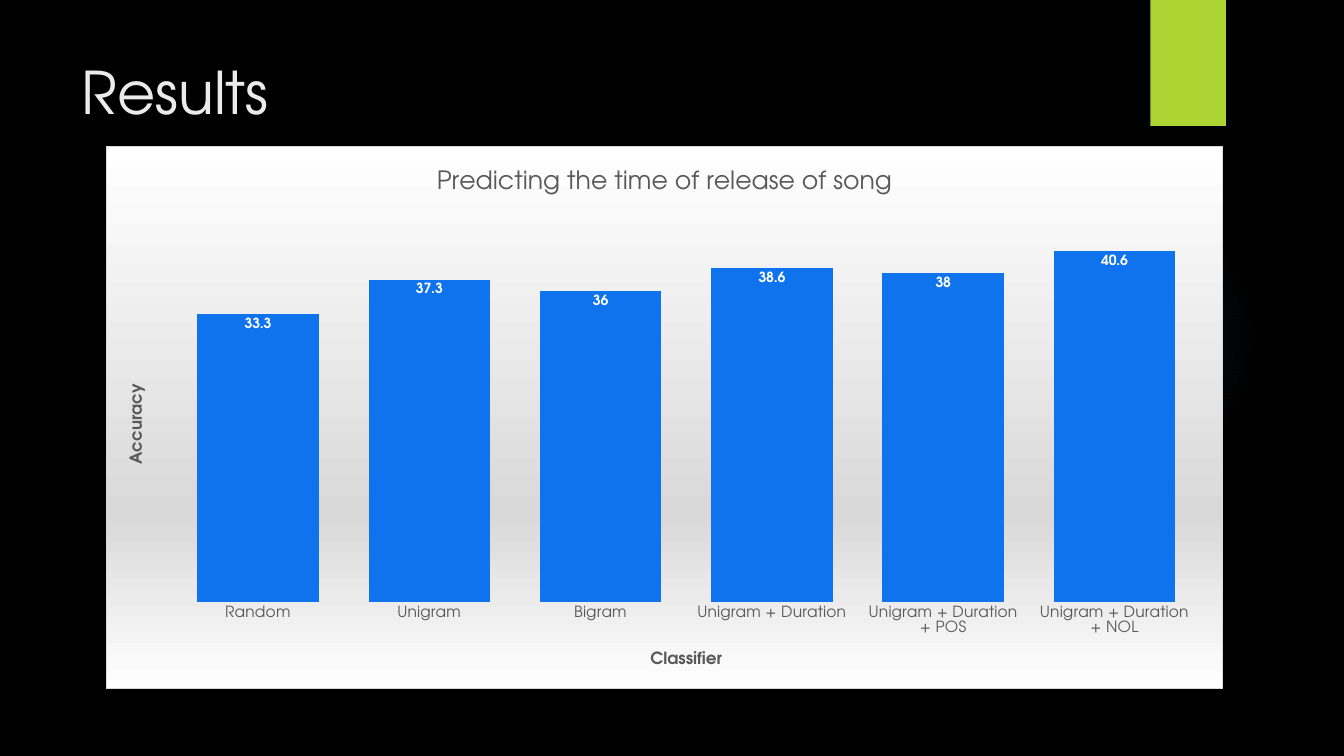
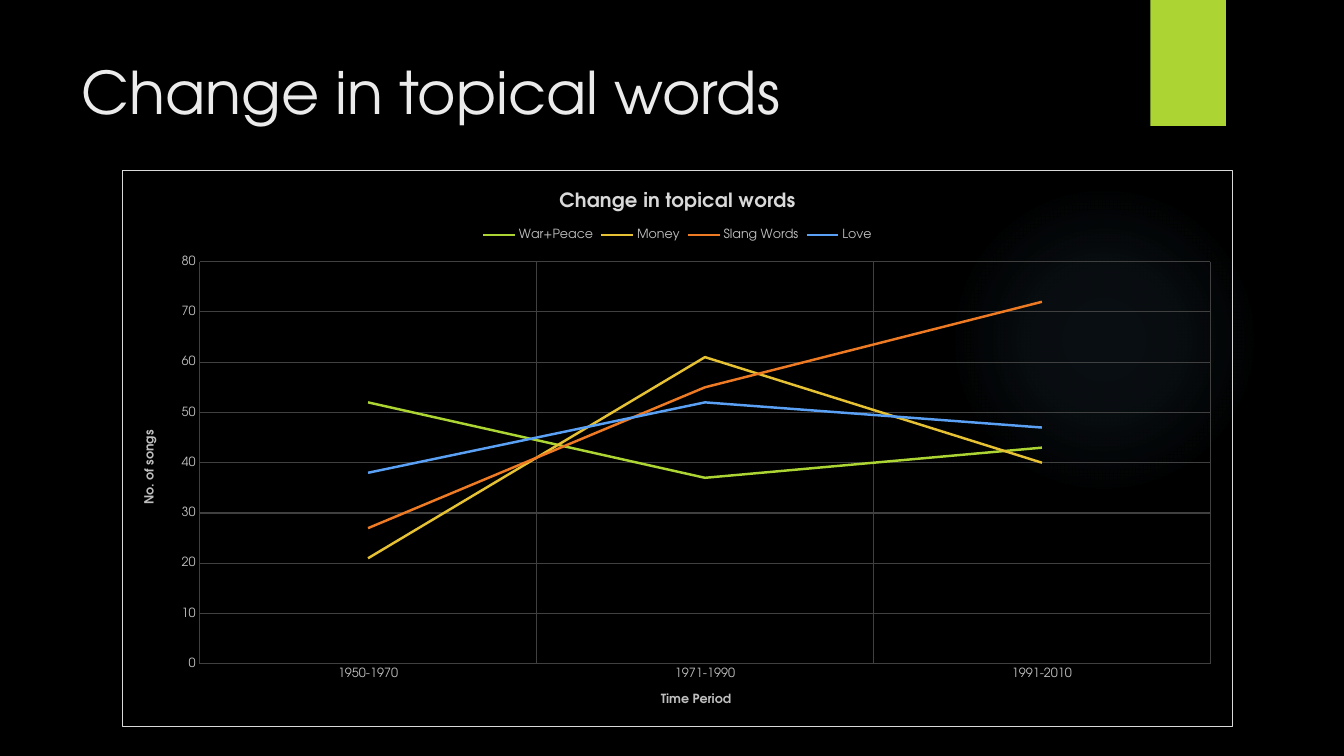
from pptx import Presentation
from pptx.chart.data import CategoryChartData as ChartData
from pptx.dml.color import RGBColor as Rgb
from pptx.enum.chart import XL_CHART_TYPE as Kind
from pptx.enum.chart import XL_LABEL_POSITION as Spot
from pptx.enum.chart import XL_LEGEND_POSITION as Side
from pptx.enum.chart import XL_TICK_MARK as Tick
from pptx.enum.shapes import MSO_SHAPE as Form
from pptx.enum.text import MSO_ANCHOR as Anchor
from pptx.enum.text import MSO_AUTO_SIZE as Fit
from pptx.enum.text import PP_ALIGN as Align
from pptx.oxml import parse_xml
from pptx.oxml.ns import nsdecls, qn
from pptx.util import Inches, Pt


class Theme:
    face = "TeX Gyre Adventor"
    back, title, band, glow = "000000", "EBEBEB", "ACD433", "7AC4F0"
    white, edge, grid = "FFFFFF", "D9D9D9", "404040"
    dark, pale = "595959", "BFBFBF"
    bar = "0E73ED"
    lines = ("ACD433", "E6C133", "EF7A24", "5AA0F5")
    head, chart, note, label, tick, small = 42, 18, 14, 12, 11, 9
    value = 10
    rule, stroke = 0.75, 1.75


# Formatting helpers
def box(*sides):
    return [Inches(side) for side in sides]


def style(font, size, color, bold=False):
    look = {"name": Theme.face, "size": Pt(size), "bold": bold}
    for key, value in look.items():
        setattr(font, key, value)
    font.color.rgb = Rgb.from_string(color)


def paint(fill, color):
    fill.solid()
    fill.fore_color.rgb = Rgb.from_string(color)


def draw(line, color, width):
    line.color.rgb = Rgb.from_string(color)
    line.width = Pt(width)


def blend(stops, shade):
    """Gradient fill from (percent, colour, opacity) stops."""
    marks = "".join(
        f'<a:gs pos="{at * 1000}"><a:srgbClr val="{color}">'
        f'<a:alpha val="{alpha * 1000}"/></a:srgbClr></a:gs>'
        for at, color, alpha in stops)
    return parse_xml(f'<a:gradFill {nsdecls("a")} rotWithShape="1">'
                     f'<a:gsLst>{marks}</a:gsLst>{shade}</a:gradFill>')


# Shared backdrop
def add_form(slide, form, place):
    shape = slide.shapes.add_shape(form, *place)
    shape.shadow.inherit = False
    shape.line.fill.background()
    return shape


def set_back(layout, slide):
    """Draw the glow and the band once, then keep them on the layout."""
    paint(layout.background.fill, Theme.back)
    glow = add_form(slide, Form.OVAL, box(9.41, 1.83, 3.08, 3.08))
    stops = [(at, Theme.glow, alpha) for at, alpha in ((0, 7), (36, 6), (69, 0))]
    shade = ('<a:path path="circle"><a:fillToRect l="50000" t="50000" '
             'r="50000" b="50000"/></a:path>')
    glow.element.spPr.find(qn("a:prstGeom")).addnext(blend(stops, shade))
    band = add_form(slide, Form.RECTANGLE, box(11.41, 0, 0.75, 1.25))
    paint(band.fill, Theme.band)
    for shape in (glow, band):
        layout.shapes.element.append(shape.element)


def set_title(slide, text, height):
    title = slide.shapes.title
    spots = ("left", "top", "width", "height")
    for key, value in zip(spots, box(0.71, 0.5, 10.29, height)):
        setattr(title, key, value)
    frame = title.text_frame
    look = {"text": text, "word_wrap": True, "auto_size": Fit.NONE,
            "vertical_anchor": Anchor.TOP}
    for key, value in look.items():
        setattr(frame, key, value)
    para = frame.paragraphs[0]
    para.alignment = Align.LEFT
    style(para.runs[0].font, Theme.head, Theme.title)


# Chart parts
def add_chart(slide, kind, place, cats, rows):
    data = ChartData()
    data.categories = cats
    for name, vals in rows:
        data.add_series(name, vals)
    chart = slide.shapes.add_chart(kind, *place, data).chart
    style(chart.font, Theme.value, Theme.white)
    chart.has_legend = False
    chart.plots[0].vary_by_categories = False
    return chart


def set_frame(chart, fill):
    """Give the chart area a fill and a thin border."""
    area = parse_xml(
        f'<c:spPr {nsdecls("c", "a")}><a:ln w="{Pt(Theme.rule)}"><a:solidFill>'
        f'<a:srgbClr val="{Theme.edge}"/></a:solidFill></a:ln></c:spPr>')
    area.insert(0, fill)
    chart.element.find(qn("c:chart")).addnext(area)


def set_text(part, text, size, color, bold=False):
    """Title a chart or an axis."""
    part.has_title = True
    frame = (part.chart_title if hasattr(part, "chart_title")
             else part.axis_title).text_frame
    frame.text = text
    style(frame.paragraphs[0].runs[0].font, size, color, bold)


def set_axis(axis, size, color, grid=False):
    look = {"major_tick_mark": Tick.NONE, "minor_tick_mark": Tick.NONE,
            "has_major_gridlines": grid}
    for key, value in look.items():
        setattr(axis, key, value)
    axis.format.line.fill.background()
    style(axis.tick_labels.font, size, color)
    if grid:
        draw(axis.major_gridlines.format.line, Theme.grid, Theme.rule)


# Slides
def add_bars(slide):
    cats = ("Random", "Unigram", "Bigram", "Unigram + Duration",
            "Unigram + Duration + POS", "Unigram + Duration + NOL")
    rows = [("Series 1", (33.3, 37.3, 36, 38.6, 38, 40.6))]
    chart = add_chart(slide, Kind.COLUMN_CLUSTERED,
                      box(1.05, 1.45, 11.08, 5.39), cats, rows)
    stops = [(0, Theme.white, 100), (68, Theme.edge, 100), (100, Theme.white, 100)]
    set_frame(chart, blend(stops, '<a:lin ang="5400000" scaled="0"/>'))
    set_text(chart, "Predicting the time of release of song",
             Theme.chart, Theme.dark)
    names = ("Classifier", "Accuracy")
    for axis, name in zip((chart.category_axis, chart.value_axis), names):
        set_axis(axis, Theme.tick, Theme.dark)
        set_text(axis, name, Theme.label, Theme.dark, True)
    chart.value_axis.visible = False
    chart.value_axis.minimum_scale = 0
    plot = chart.plots[0]
    plot.gap_width = 41
    paint(plot.series[0].format.fill, Theme.bar)
    plot.has_data_labels = True
    tags = plot.data_labels
    tags.show_value = True
    tags.position = Spot.INSIDE_END
    style(tags.font, Theme.value, Theme.white, True)


def add_lines(slide):
    cats = ("1950-1970", "1971-1990", "1991-2010")
    rows = [("War+Peace", (52, 37, 43)), ("Money", (21, 61, 40)),
            ("Slang Words", (27, 55, 72)), ("Love", (38, 52, 47))]
    chart = add_chart(slide, Kind.LINE, box(1.21, 1.69, 11.02, 5.52), cats, rows)
    set_frame(chart, parse_xml(f'<a:noFill {nsdecls("a")}/>'))
    set_text(chart, "Change in topical words", Theme.note, Theme.edge, True)
    names = ("Time Period", "No. of songs")
    for axis, name in zip((chart.category_axis, chart.value_axis), names):
        set_axis(axis, Theme.small, Theme.pale, True)
        set_text(axis, name, Theme.small, Theme.pale, True)
    chart.has_legend = True
    chart.legend.position = Side.TOP
    chart.legend.include_in_layout = False
    style(chart.legend.font, Theme.small, Theme.pale)
    for row, color in zip(chart.plots[0].series, Theme.lines):
        row.smooth = False
        draw(row.format.line, color, Theme.stroke)


def main():
    deck = Presentation()
    deck.slide_width, deck.slide_height = box(13.33, 7.5)
    layout = deck.slide_layouts[5]
    pages = (("Results", 1.3, add_bars),
             ("Change in topical words", 1.53, add_lines))
    for text, height, fill in pages:
        slide = deck.slides.add_slide(layout)
        set_title(slide, text, height)
        fill(slide)
    set_back(layout, deck.slides[0])
    deck.save("out.pptx")


if __name__ == "__main__":
    main()
